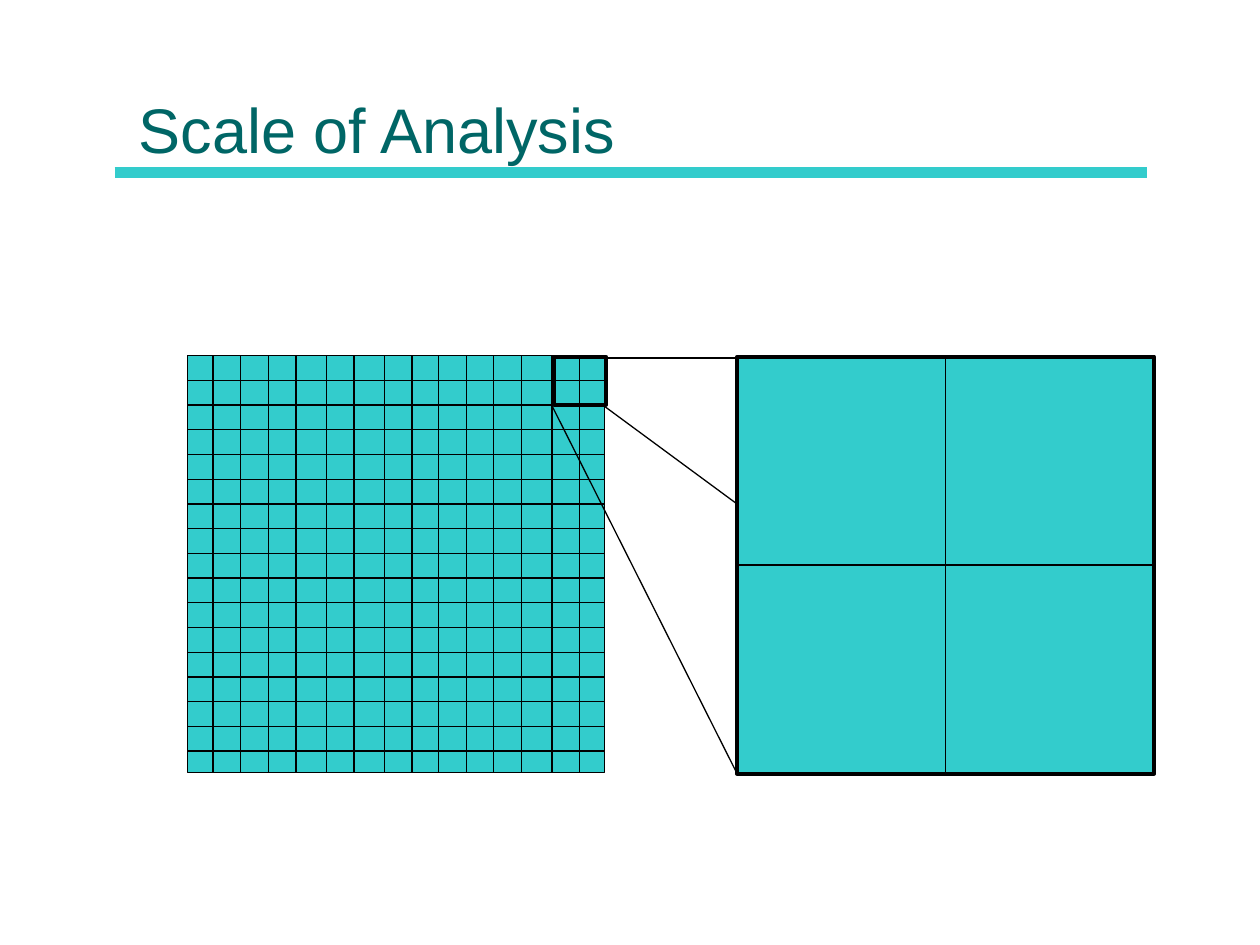
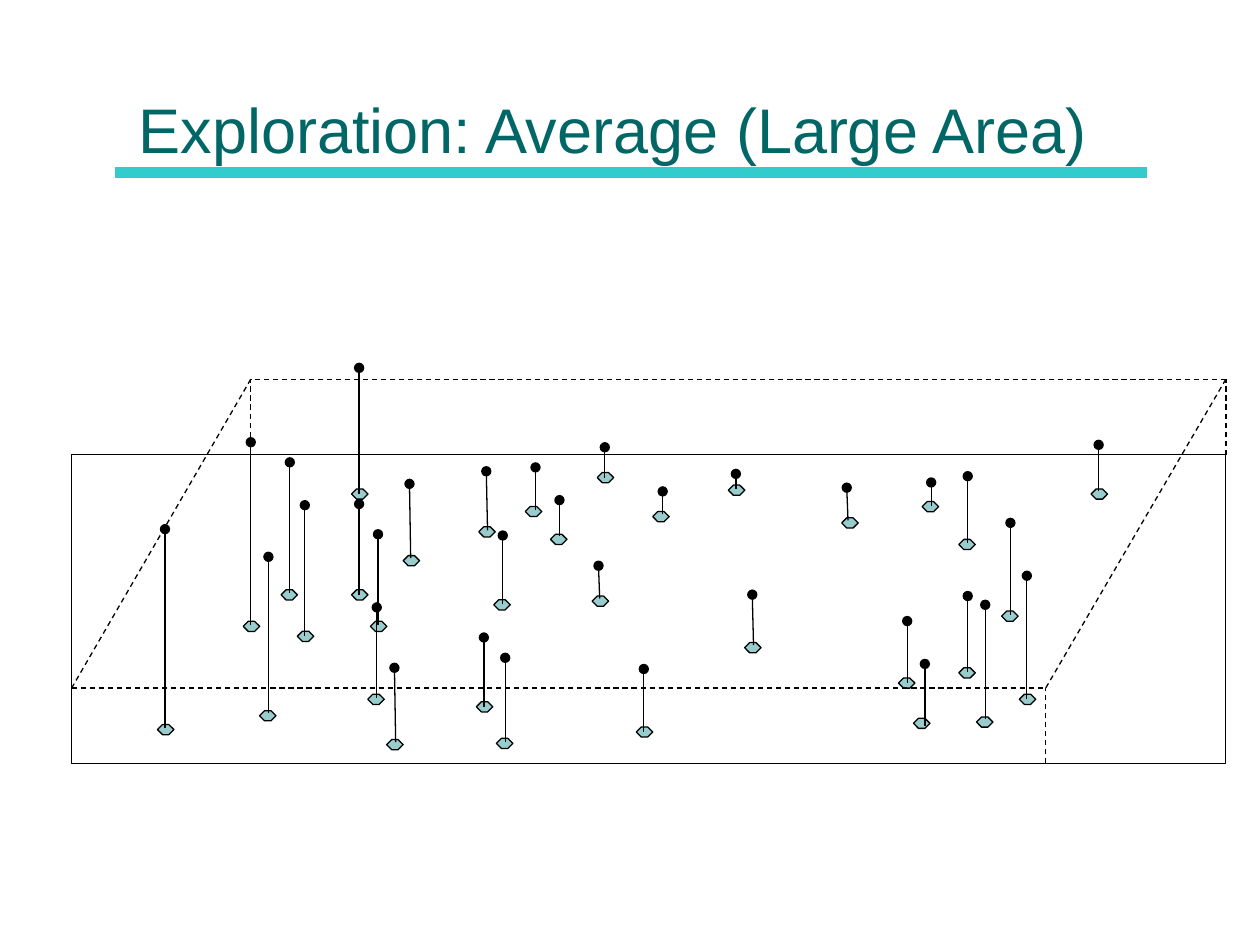
"""Build two slides on the scale of spatial analysis."""
from dataclasses import dataclass
from typing import Any

from lxml import etree
from pptx import Presentation
from pptx.dml.color import RGBColor
from pptx.enum.dml import MSO_LINE
from pptx.enum.shapes import MSO_CONNECTOR, MSO_SHAPE
from pptx.enum.text import MSO_ANCHOR, MSO_AUTO_SIZE, PP_ALIGN
from pptx.oxml.ns import qn
from pptx.util import Pt

RECT = MSO_SHAPE.RECTANGLE
SLANT = MSO_SHAPE.PARALLELOGRAM
OCTO = MSO_SHAPE.OCTAGON
STRAIGHT = MSO_CONNECTOR.STRAIGHT
DASH = MSO_LINE.DASH
LEFT = PP_ALIGN.LEFT
BOTTOM = MSO_ANCHOR.BOTTOM
FIXED = MSO_AUTO_SIZE.NONE

FONT = "Arial"
TEAL = "33CCCC"
DEEP = "006666"
PALE = "99CCCC"
BLACK = "000000"
THIN, BOLD = 0.75, 2.25


@dataclass(frozen=True)
class Box:
    left: float
    top: float
    width: float
    height: float

    @property
    def right(self) -> float:
        return self.left + self.width

    @property
    def base(self) -> float:
        return self.top + self.height


@dataclass(frozen=True)
class Pin:
    left: float
    top: float
    x: float
    y: float
    rise: float
    lean: float = 0


TITLE = Box(72, 8.64, 576, 90)
GRID = Box(107.3, 203, 238.3, 238.3)
ZOOM = Box(421.2, 203.8, 238.3, 238.3)
FOCUS = Box(316.8, 203.8, 29.5, 27.4)
ROWS = [217.4 + 14.12 * i for i in range(16)]
COLS = [121.7, 137.5, 153.4, 169.2, 186.5, 202.3, 219.6,
        235.4, 250.6, 266.4, 282.2, 298.1, 315.4, 331.2]

FRONT = Box(41, 259.9, 659.5, 176.4)
DEPTH = 43.2
INNER = 597.6
BACK = 143.3
PINS = [
    Pin(90, 414, 94.3, 416.2, 113.8),
    Pin(139, 355, 143.3, 357.1, 104.4),
    Pin(148.3, 406.1, 153.4, 407.5, 89.3),
    Pin(160.6, 337, 165.6, 339.1, 74.9),
    Pin(169.9, 360.7, 174.2, 363.6, 74.9),
    Pin(200.9, 337, 205.2, 339.8, 51.8),
    Pin(200.9, 279.4, 205.2, 282.2, 72),
    Pin(211.7, 355, 216, 357.1, 51.8),
    Pin(210.2, 396.7, 215.3, 398.9, 51.8),
    Pin(221, 422.6, 226.1, 424.1, 42.5, 0.7),
    Pin(230.4, 317.5, 234.7, 319, 42.5, 0.7),
    Pin(273.6, 301, 278.6, 303.1, 33.8, 0.7),
    Pin(282.2, 342.7, 287.3, 344.9, 38.9),
    Pin(272.2, 401, 276.5, 403.9, 39.6),
    Pin(283.7, 421.9, 288.7, 424.1, 48.2),
    Pin(363.6, 415.4, 367.9, 418.3, 36),
    Pin(300.2, 289.4, 306, 291.6, 24.5),
    Pin(314.6, 305.3, 319.7, 306, 20.2),
    Pin(341.3, 270, 345.6, 272.9, 17.3),
    Pin(373, 292.3, 378.7, 293.8, 13),
    Pin(416.2, 277.2, 420.5, 279.4, 8.6),
    Pin(481, 295.9, 484.6, 297.4, 18.7, 0.7),
    Pin(338.4, 340.6, 342.7, 342, 18.7, 0.7),
    Pin(425.5, 367.2, 430.6, 368.6, 28.8, 0.7),
    Pin(513.4, 387.4, 518.4, 390.2, 35.3),
    Pin(522, 410.4, 528.5, 414.7, 35.3),
    Pin(547.9, 381.6, 553, 383.8, 43.2),
    Pin(558, 409.7, 563, 411.1, 65.5),
    Pin(582.5, 396.7, 586.8, 399.6, 70.6),
    Pin(572.4, 349.2, 577.4, 351.4, 52.6),
    Pin(547.9, 308.2, 553, 310.3, 38.2),
    Pin(527, 286.6, 532.1, 289.4, 13.7),
    Pin(623.5, 279.4, 627.8, 280.8, 26.6),
]


def paint(code: str) -> RGBColor:
    """Turn a hex string into a colour."""
    return RGBColor.from_string(code)


def write(frame: Any, text: str, *, size: float, color: str,
          align: Any = LEFT, anchor: Any = BOTTOM) -> None:
    """Fill a text frame with one formatted paragraph."""
    frame.text = text
    frame.word_wrap = True
    frame.auto_size = FIXED
    frame.vertical_anchor = anchor
    frame.margin_left = frame.margin_right = Pt(7.2)
    frame.margin_top = frame.margin_bottom = Pt(3.6)
    para = frame.paragraphs[0]
    para.alignment = align
    para.font.name = FONT
    para.font.size = Pt(size)
    para.font.color.rgb = paint(color)


def draw(shapes: Any, kind: Any, box: Box, *, fill: str = "",
         width: float = THIN, bend: float | None = None) -> None:
    """Draw a preset shape with a black outline."""
    shape = shapes.add_shape(kind, Pt(box.left), Pt(box.top),
                             Pt(box.width), Pt(box.height))
    shape.shadow.inherit = False
    if fill:
        shape.fill.solid()
        shape.fill.fore_color.rgb = paint(fill)
    else:
        shape.fill.background()
    shape.line.color.rgb = paint(BLACK)
    shape.line.width = Pt(width)
    if bend is not None:
        shape.adjustments[0] = bend


def link(shapes: Any, x1: float, y1: float, x2: float, y2: float, *,
         color: str = BLACK, width: float = THIN,
         dash: Any = None, knob: bool = False) -> None:
    """Draw a straight line, with a round end if asked."""
    line = shapes.add_connector(STRAIGHT, Pt(x1), Pt(y1), Pt(x2), Pt(y2))
    line.line.color.rgb = paint(color)
    line.line.width = Pt(width)
    if dash is not None:
        line.line.dash_style = dash
    if knob:
        pen = line.line._get_or_add_ln()
        etree.SubElement(pen, qn("a:tailEnd"), type="oval")
    etree.SubElement(line._element.spPr, qn("a:effectLst"))


def start(deck: Any, text: str) -> Any:
    """Add a slide with its title and rule."""
    slide = deck.slides.add_slide(deck.slide_layouts[5])
    link(slide.shapes, 65.5, 98.6, 655.2, 98.6, color=TEAL, width=6)
    title = slide.shapes.title
    title.left, title.top = Pt(TITLE.left), Pt(TITLE.top)
    title.width, title.height = Pt(TITLE.width), Pt(TITLE.height)
    write(title.text_frame, text, size=36, color=DEEP)
    return slide


def mesh(shapes: Any, box: Box, rows: list[float], cols: list[float],
         width: float) -> None:
    """Draw a filled square ruled by rows and columns."""
    draw(shapes, RECT, box, fill=TEAL, width=width)
    for y in rows:
        link(shapes, box.left, y, box.right, y)
    for x in cols:
        link(shapes, x, box.top, x, box.base)


def scale(deck: Any) -> None:
    """Build the slide with the grid and its enlarged part."""
    slide = start(deck, "Scale of Analysis")
    mesh(slide.shapes.add_group_shape().shapes, GRID, ROWS, COLS, THIN)
    zoom = slide.shapes.add_group_shape().shapes
    mesh(zoom, ZOOM, [ZOOM.top + ZOOM.height / 2],
         [ZOOM.left + ZOOM.width / 2], BOLD)
    link(zoom, 315.4, 204.5, ZOOM.left, 204.5)
    link(zoom, 315.4, 231.8, ZOOM.left, ZOOM.base)
    link(zoom, 344.9, 231.8, ZOOM.left, 288)
    draw(zoom, RECT, FOCUS, width=BOLD)


def survey(deck: Any) -> None:
    """Build the slide with pins in a dashed block."""
    slide = start(deck, "Exploration: Average (Large Area)")
    draw(slide.shapes, SLANT, FRONT, bend=0)
    for pin in PINS:
        draw(slide.shapes, OCTO, Box(pin.left, pin.top, 9.4, 5.8),
             fill=PALE, bend=0.5)
    stems = slide.shapes.add_group_shape().shapes
    for pin in PINS:
        link(stems, pin.x, pin.y, pin.x - pin.lean, pin.y - pin.rise,
             knob=True)
    block = slide.shapes.add_group_shape().shapes
    near, far = FRONT.base - DEPTH, FRONT.top - DEPTH
    rim = [(FRONT.left, near), (INNER, near), (FRONT.right, far), (BACK, far)]
    for here, there in zip(rim, rim[1:] + rim[:1]):
        link(block, *here, *there, dash=DASH)
    for x, y in rim:
        link(block, x, y + DEPTH, x, y, dash=DASH)


def main() -> None:
    """Make the deck and save it."""
    deck = Presentation()
    deck.slide_width, deck.slide_height = Pt(720), Pt(540)
    scale(deck)
    survey(deck)
    deck.save("out.pptx")


if __name__ == "__main__":
    main()
